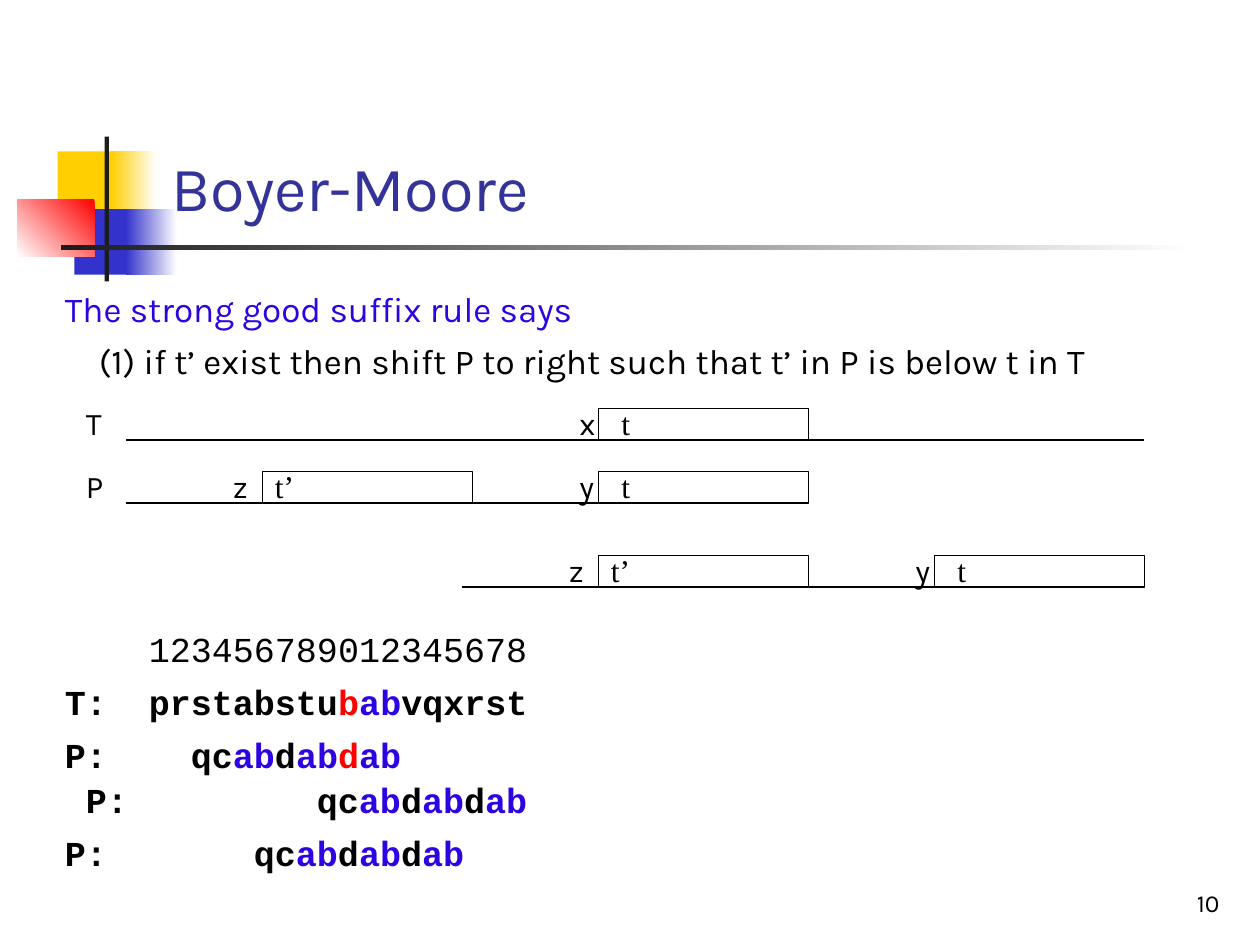
"""Build a slide on the strong good suffix rule of the Boyer-Moore algorithm."""
from dataclasses import dataclass
from typing import Optional

from lxml.etree import SubElement
from pptx import Presentation
from pptx.dml.color import RGBColor
from pptx.enum.shapes import MSO_CONNECTOR, MSO_SHAPE
from pptx.enum.text import MSO_ANCHOR, MSO_AUTO_SIZE, PP_ALIGN
from pptx.oxml.ns import qn
from pptx.util import Pt

BLACK = RGBColor(0x00, 0x00, 0x00)
WHITE = RGBColor(0xFF, 0xFF, 0xFF)
RED = RGBColor(0xFF, 0x00, 0x00)
YELLOW = RGBColor(0xFF, 0xCF, 0x01)
BLUE = RGBColor(0x33, 0x33, 0xCC)
CHARCOAL = RGBColor(0x1C, 0x1C, 0x1C)
TITLE_BLUE = RGBColor(0x33, 0x33, 0x99)
MATCH_BLUE = RGBColor(0x2D, 0x03, 0xE1)
SANS, SERIF, MONO = "Karla", "Times New Roman", "Courier New"
CHARACTER = 12
SEGMENT_WIDTH, SEGMENT_HEIGHT = 120, 18
LABEL_WIDTHS = {"x": 24, "y": 24, "z": 22.5, "t": 19.5, "t’": 25.5, "T": 30, "P": 30}


@dataclass
class Ornament:
    left: float
    top: float
    width: float
    height: float
    start: RGBColor
    end: Optional[RGBColor] = None
    angle: float = 0


@dataclass
class Span:
    text: str
    color: RGBColor = BLACK


@dataclass
class Line:
    spans: list[Span]
    font: str = MONO
    bold: bool = False
    tab: float = 0
    before: float = 0


@dataclass
class Segment:
    left: float
    name: str
    preceding: str


@dataclass
class Track:
    start: float
    end: float
    base: float
    segments: list[Segment]
    name: str = ""


ORNAMENTS = [
    Ornament(33, 86.5, 34.5, 37.5, YELLOW),
    Ornament(63.5, 86.5, 26, 37.5, YELLOW, WHITE),
    Ornament(42.5, 119.5, 33, 37.5, BLUE),
    Ornament(72, 119.5, 29, 37.5, BLUE, WHITE),
    Ornament(10, 113.75, 44, 33, RED, WHITE, 225),
    Ornament(59.75, 78, 2.5, 82.75, CHARCOAL),
    Ornament(34.75, 140.25, 648, 2.5, CHARCOAL, WHITE),
]
TRACKS = [
    Track(72, 654, 251.5, [Segment(342, "t", "x")], "T"),
    Track(72, 462, 287.5, [Segment(150, "t’", "z"), Segment(342, "t", "y")], "P"),
    Track(264, 654, 335.5, [Segment(342, "t’", "z"), Segment(534, "t", "y")]),
]


def pattern_line(offset: int, mismatch: RGBColor = BLACK, before: float = 0) -> Line:
    """Return the pattern, starting at a character column."""
    pair = Span("ab", MATCH_BLUE)
    spans = [Span("P:\tqc"), pair, Span("d"), pair, Span("d", mismatch), pair]
    return Line(spans, bold=True, tab=offset * CHARACTER, before=before)


BODY = [
    Line([Span("The strong good suffix rule says", MATCH_BLUE)], SANS),
    Line([Span("\t(1) if t’ exist then shift P to right such that t’ in P is below t in T")],
         SANS, tab=19.5, before=5.75),
    Line([Span("\t123456789012345678")], tab=4 * CHARACTER, before=140.5),
    Line([Span("T:\tprstabstu"), Span("b", RED), Span("ab", MATCH_BLUE), Span("vqxrst")],
         bold=True, tab=4 * CHARACTER, before=6.5),
    pattern_line(6, RED, 6.5),
]


def draw_ornament(page, ornament: Ornament) -> None:
    """Draw one solid or fading rectangle."""
    box = page.shapes.add_shape(MSO_SHAPE.RECTANGLE, Pt(ornament.left), Pt(ornament.top),
                                Pt(ornament.width), Pt(ornament.height))
    box.shadow.inherit = False
    box.line.fill.background()
    if ornament.end is None:
        box.fill.solid()
        box.fill.fore_color.rgb = ornament.start
        return
    box.fill.gradient()
    box.fill.gradient_angle = ornament.angle
    for stop, color in zip(box.fill.gradient_stops, (ornament.start, ornament.end)):
        stop.color.rgb = color


def draw_lines(page, left: float, top: float, width: float, height: float,
               lines: list[Line]) -> None:
    """Write coloured lines of text in one box."""
    frame = page.shapes.add_textbox(Pt(left), Pt(top), Pt(width), Pt(height)).text_frame
    frame.word_wrap = True
    for index, line in enumerate(lines):
        para = frame.add_paragraph() if index else frame.paragraphs[0]
        if line.before:
            para.space_before = Pt(line.before)
        if line.tab:
            tabs = SubElement(para._p.get_or_add_pPr(), qn("a:tabLst"))
            SubElement(tabs, qn("a:tab"), pos=str(Pt(line.tab)), algn="l")
        para.font.name, para.font.size, para.font.bold = line.font, Pt(20), line.bold
        for span in line.spans:
            run = para.add_run()
            run.text = span.text
            run.font.color.rgb = span.color


def draw_label(page, text: str, left: float, top: float, font: str = SANS) -> None:
    """Write a short label."""
    box = page.shapes.add_textbox(Pt(left), Pt(top), Pt(LABEL_WIDTHS[text]), Pt(29))
    box.text_frame.word_wrap = False
    para = box.text_frame.paragraphs[0]
    para.text = text
    para.font.name, para.font.size = font, Pt(18)
    para.font.color.rgb = BLACK


def draw_track(page, track: Track) -> None:
    """Draw a string as a line with its marked segments."""
    line = page.shapes.add_connector(MSO_CONNECTOR.STRAIGHT, Pt(track.start), Pt(track.base),
                                     Pt(track.end), Pt(track.base))
    SubElement(line._element.spPr, qn("a:effectLst"))
    line.line.color.rgb, line.line.width = BLACK, Pt(0.75)
    label_top = track.base - 24
    if track.name:
        draw_label(page, track.name, 42, label_top)
    for segment in track.segments:
        box = page.shapes.add_shape(MSO_SHAPE.FLOWCHART_PROCESS, Pt(segment.left),
                                    Pt(track.base - SEGMENT_HEIGHT),
                                    Pt(SEGMENT_WIDTH), Pt(SEGMENT_HEIGHT))
        box.shadow.inherit = False
        box.fill.background()
        box.line.color.rgb, box.line.width = BLACK, Pt(0.75)
        name_gap = 6 if segment.name == "t" else 0
        letter_gap = 24 if segment.preceding == "z" else 18
        draw_label(page, segment.name, segment.left + name_gap, label_top, SERIF)
        draw_label(page, segment.preceding, segment.left - letter_gap, label_top)


def draw_title(page) -> None:
    """Place and format the title."""
    title = page.shapes.title
    title.left, title.top, title.width, title.height = Pt(91), Pt(16.5), Pt(613), Pt(115)
    frame = title.text_frame
    frame.auto_size, frame.vertical_anchor = MSO_AUTO_SIZE.NONE, MSO_ANCHOR.BOTTOM
    para = frame.paragraphs[0]
    para.text, para.alignment = "Boyer-Moore", PP_ALIGN.LEFT
    para.font.name, para.font.size = SANS, Pt(36)
    para.font.color.rgb = TITLE_BLUE


def draw_page_number(page) -> None:
    """Write the page number at the bottom right."""
    frame = page.shapes.add_textbox(Pt(554), Pt(492), Pt(150), Pt(36)).text_frame
    frame.word_wrap, frame.vertical_anchor = True, MSO_ANCHOR.BOTTOM
    para = frame.paragraphs[0]
    para.text, para.alignment = "10", PP_ALIGN.RIGHT
    para.font.name, para.font.size = SANS, Pt(14)
    para.font.color.rgb = BLACK


def main() -> None:
    """Build and save the deck."""
    deck = Presentation()
    deck.slide_width, deck.slide_height = Pt(720), Pt(540)
    page = deck.slides.add_slide(deck.slide_layouts[5])
    for ornament in ORNAMENTS:
        draw_ornament(page, ornament)
    draw_title(page)
    draw_lines(page, 30, 160.5, 690, 327, BODY)
    for track in TRACKS:
        draw_track(page, track)
    draw_lines(page, 42, 441.5, 282, 32, [pattern_line(11)])
    draw_lines(page, 30, 471.5, 282, 32, [pattern_line(9)])
    draw_page_number(page)
    deck.save("out.pptx")


if __name__ == "__main__":
    main()
